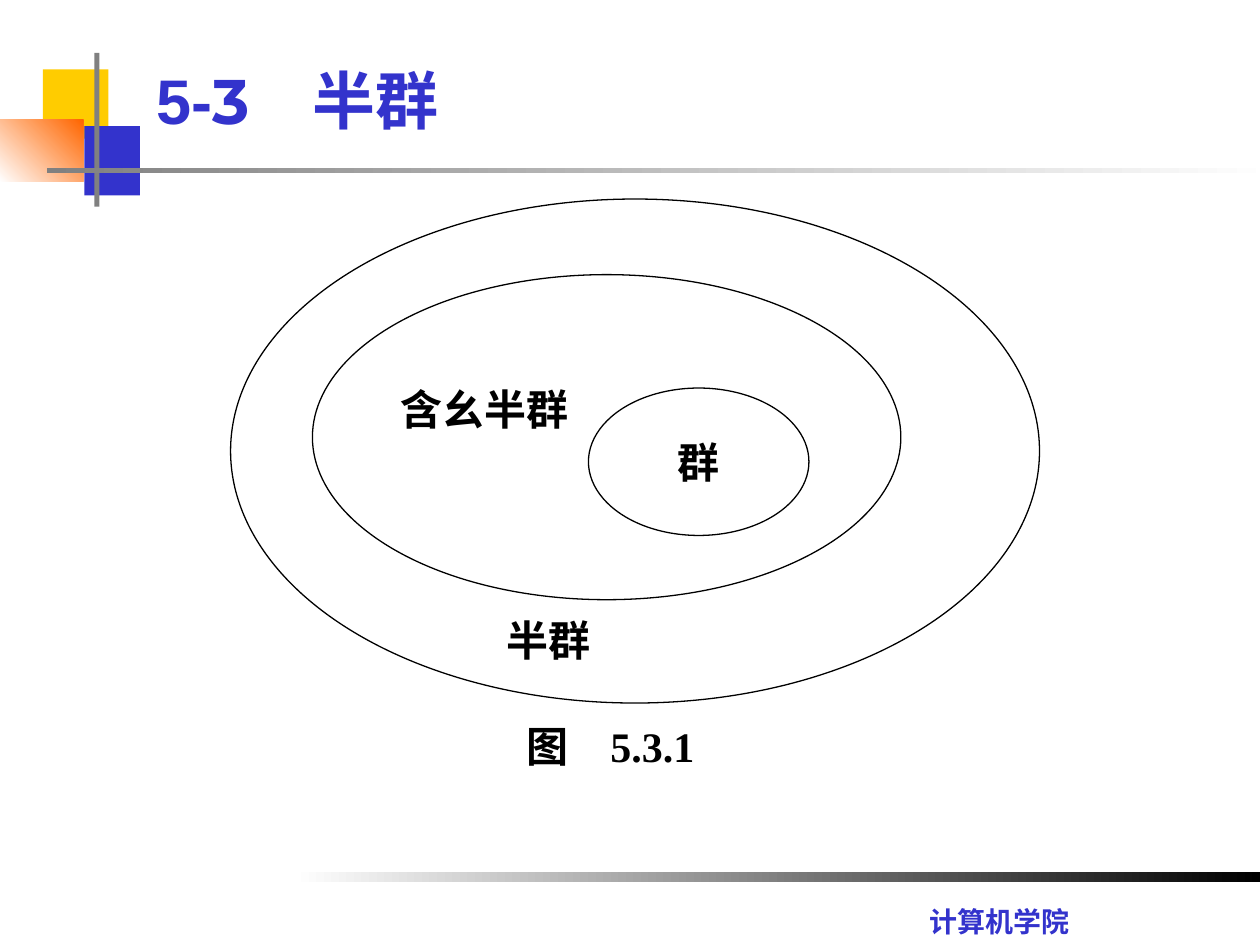
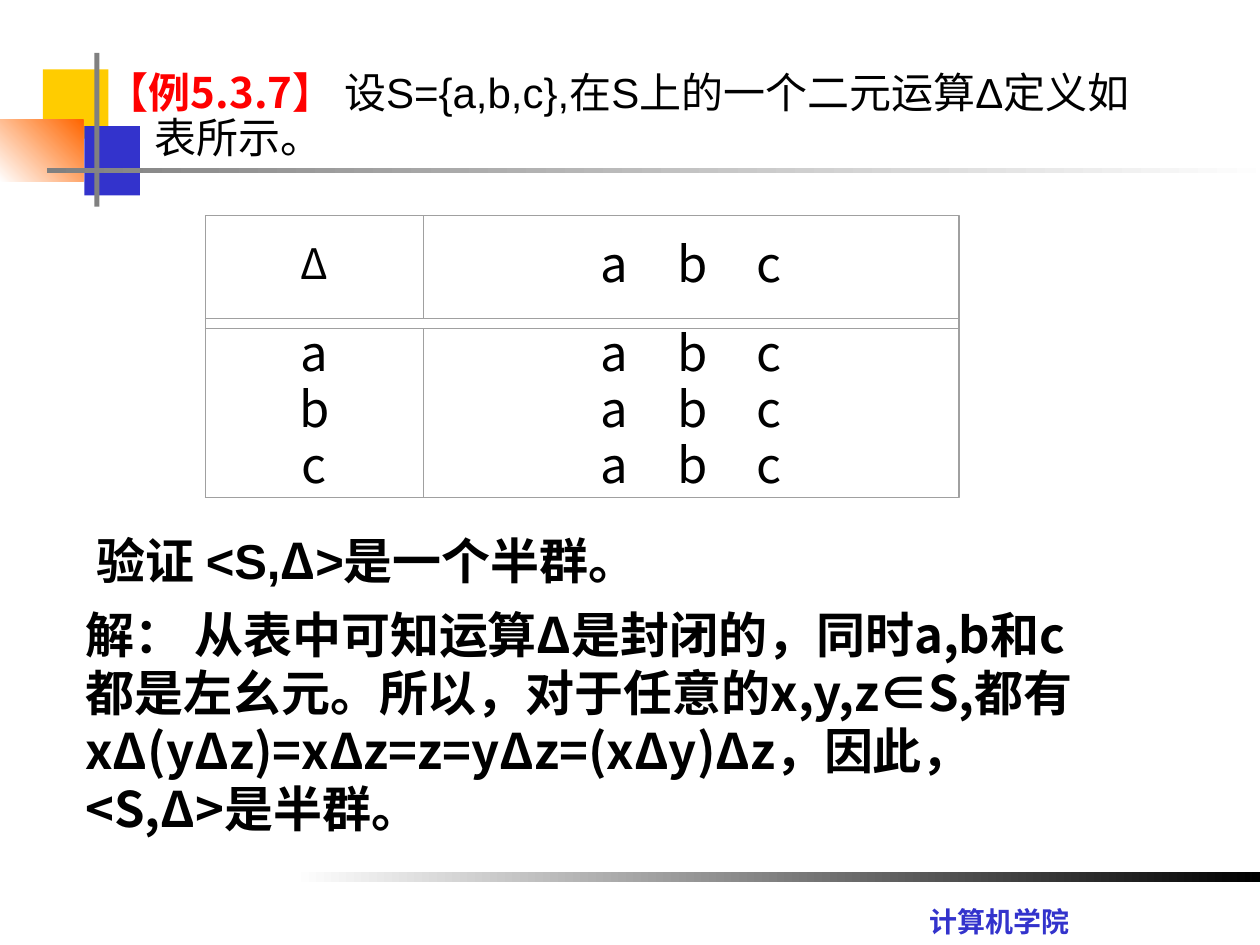
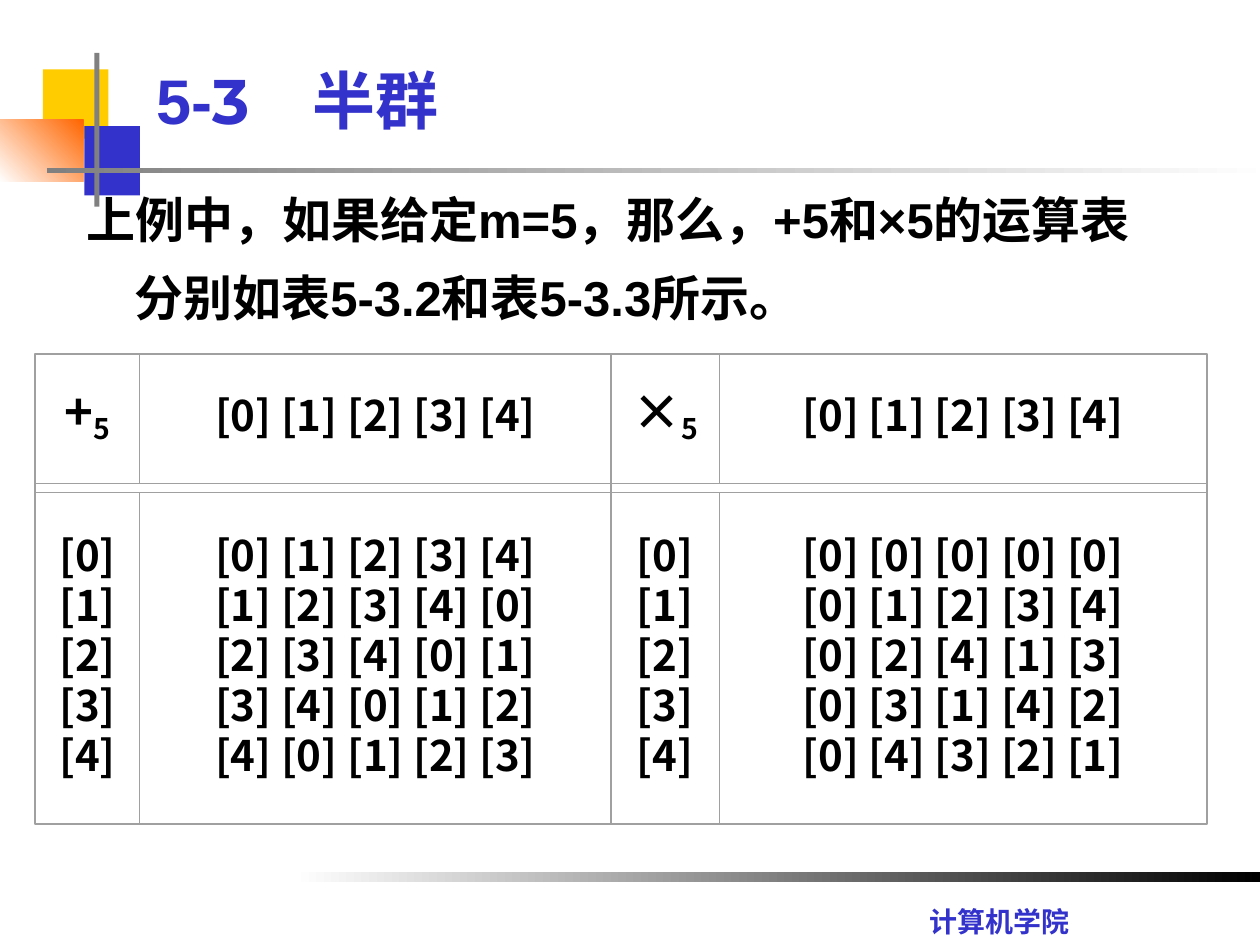
from lxml.etree import SubElement
from pptx import Presentation
from pptx.dml.color import RGBColor
from pptx.enum.shapes import MSO_SHAPE as Shape
from pptx.enum.text import MSO_ANCHOR as Anchor, MSO_AUTO_SIZE as AutoSize, PP_ALIGN as Align
from pptx.oxml.ns import qn
from pptx.util import Inches, Pt

COLORS = {
    "yellow": "FFCC00", "blue": "3333CC", "orange": "FF6600", "gray": "808080",
    "white": "FFFFFF", "black": "000000", "red": "FF0000", "grid": "A0A0A0",
}
SANS, ARIAL, TIMES = "Noto Sans CJK SC", "Arial", "Times New Roman"
LINE_PITCH = 1.19  # line height as a multiple of the font size


def rgb(name):
    return RGBColor.from_string(COLORS[name])


def write(frame, text, *, size=24, font=SANS, color="black", bold=False,
          align=Align.LEFT, spacing=1.0, hanging=0):
    """Write paragraphs; each is a string or a list of (text, format changes)."""
    for index, line in enumerate([text] if isinstance(text, str) else text):
        para = frame.paragraphs[0] if index == 0 else frame.add_paragraph()
        para.alignment = align
        para.line_spacing = Pt(round(size * LINE_PITCH * spacing, 1))
        if hanging:
            props = para._p.get_or_add_pPr()
            props.set("marL", str(Inches(hanging)))
            props.set("indent", str(-Inches(hanging)))
        for words, changes in [(line, {})] if isinstance(line, str) else line:
            span = para.add_run()
            span.text = words
            span.font.size = Pt(size)
            span.font.bold = changes.get("bold", bold)
            span.font.color.rgb = rgb(changes.get("color", color))
            span.font.name = changes.get("font", font)
            props = span._r.get_or_add_rPr()
            SubElement(props, qn("a:ea"), typeface=SANS)
            if changes.get("subscript"):
                props.set("baseline", "-20000")


def set_borders(cell, color="grid", width=0.5):
    props = cell._tc.get_or_add_tcPr()
    for side in ("lnL", "lnR", "lnT", "lnB"):
        line = SubElement(props, qn(f"a:{side}"), w=str(Pt(width)))
        SubElement(SubElement(line, qn("a:solidFill")), qn("a:srgbClr"), val=COLORS[color])


class SlideBuilder:
    """Holds the deck, its style and the slide being built."""

    def __init__(self):
        self.deck = Presentation()
        self.deck.slide_width, self.deck.slide_height = Inches(10), Inches(7.5)
        self.page = None

    def new_page(self):
        self.page = self.deck.slides.add_slide(self.deck.slide_layouts[6])
        self.shape(0.34, 0.55, 0.52, 0.55, fill="yellow")
        self.shape(0.67, 1, 0.44, 0.55, fill="blue")
        self.shape(0, 0.95, 0.66, 0.49, fill=("white", "orange"), angle=45)
        self.shape(0.75, 0.42, 0.04, 1.22, fill="gray")
        self.shape(0.37, 1.33, 9.75, 0.04, fill=("gray", "white"))
        self.shape(2.33, 6.92, 7.67, 0.08, fill=("white", "black"))
        self.text(7.28, 7.13, 1.39, 0.37, "计算机学院", wrap=False,
                  size=16, font="Karla", color="blue", bold=True)

    def title(self):
        self.text(1.14, 0.44, 8.5, 0.7,
                  [[("5-", {}), ("3", {"font": "Montserrat"}), ("　半群", {})]],
                  anchor=Anchor.MIDDLE, size=36, font=ARIAL, color="blue", bold=True)

    def shape(self, left, top, width, height, kind=Shape.RECTANGLE, *,
              fill=None, angle=0, line=None, line_width=0.75):
        """Add a preset shape; a pair of fill colours makes a gradient."""
        box = self.page.shapes.add_shape(
            kind, Inches(left), Inches(top), Inches(width), Inches(height))
        box.shadow.inherit = False
        if fill is None:
            box.fill.background()
        elif isinstance(fill, tuple):
            box.fill.gradient()
            box.fill.gradient_angle = angle
            for stop, color, position in zip(box.fill.gradient_stops, fill, (0, 1)):
                stop.color.rgb = rgb(color)
                stop.position = position
        else:
            box.fill.solid()
            box.fill.fore_color.rgb = rgb(fill)
        if line:
            box.line.color.rgb = rgb(line)
            box.line.width = Pt(line_width)
        else:
            box.line.fill.background()
        return box

    def ellipse(self, left, top, width, height, fill=None):
        return self.shape(left, top, width, height, Shape.OVAL, fill=fill, line="black")

    def text(self, left, top, width, height, text, *, wrap=True, grow=True,
             anchor=Anchor.TOP, **style):
        box = self.page.shapes.add_textbox(
            Inches(left), Inches(top), Inches(width), Inches(height))
        frame = box.text_frame
        frame.word_wrap = wrap
        frame.auto_size = AutoSize.SHAPE_TO_FIT_TEXT if grow else AutoSize.NONE
        frame.vertical_anchor = anchor
        write(frame, text, **style)

    def table_row(self, left, top, height, widths, texts, styles):
        """Add a one-row table."""
        table = self.page.shapes.add_table(
            1, len(widths), Inches(left), Inches(top),
            Inches(sum(widths)), Inches(height)).table
        table.first_row = table.horz_banding = False
        table.rows[0].height = Inches(height)
        for column, width, cell, text, style in zip(
                table.columns, widths, table.rows[0].cells, texts, styles):
            column.width = Inches(width)
            set_borders(cell)
            cell.fill.background()
            cell.margin_left = cell.margin_right = Inches(0.06)
            cell.margin_top = cell.margin_bottom = 0
            cell.vertical_anchor = Anchor.MIDDLE
            write(cell.text_frame, text, align=Align.CENTER, **style)

    def operation_table(self, left, top, widths, heights, operator, elements,
                        results, gap, operator_size, **style):
        """Header and body rows set apart by a gap, inside one frame."""
        head_height, body_height = heights
        separator = "　" if len(elements) == 3 else " "
        join = separator.join
        head_style = {**style, "spacing": 1}
        self.table_row(left, top, head_height, widths, [operator, join(elements)],
                       [{**head_style, "size": operator_size}, head_style])
        self.table_row(left, top + head_height + gap, body_height, widths,
                       [elements, [join(row) for row in results]], [style, style])
        self.shape(left, top, sum(widths), head_height + gap + body_height,
                   line="grid", line_width=0.87)


def venn_page(builder):
    builder.new_page()
    label = {"font": TIMES, "bold": True}
    builder.text(4.08, 5.67, 1.67, 0.5, "图　5.3.1", **label)
    builder.ellipse(2.48, 2.18, 4.67, 2.58, fill="white")
    group = builder.ellipse(4.67, 3.08, 1.75, 1.17, fill="white")
    group.text_frame.word_wrap = False
    group.text_frame.vertical_anchor = Anchor.MIDDLE
    write(group.text_frame, "群", align=Align.CENTER, **label)
    builder.text(3.08, 3, 1.92, 0.5, "含幺半群", **label)
    builder.ellipse(1.83, 1.58, 6.42, 4)
    builder.text(3.92, 4.83, 0.87, 0.5, "半群", wrap=False, **label)
    builder.title()


def example_page(builder):
    builder.new_page()
    builder.text(0.75, 0.52, 8.58, 1, [[
        ("【例5.3.7】 ", {"font": SANS, "color": "red", "bold": True}),
        ("设S={a,b,c},在S上的一个二元运算Δ定义如表所示。", {}),
    ]], grow=False, font=ARIAL, spacing=0.9, hanging=0.38)
    elements = list("abc")
    builder.operation_table(
        1.63, 1.71, (1.73, 4.25), (0.82, 1.34), "Δ", elements,
        [elements for _ in elements], gap=0.08, operator_size=24,
        size=28, spacing=0.96)
    builder.text(0.67, 4.17, 8.5, 0.56, [[
        ("验证 ", {}), ("<S,", {"font": ARIAL}), ("Δ", {}), (">", {"font": ARIAL}),
        ("是一个半群。", {}),
    ]], size=28, bold=True)
    builder.text(
        0.58, 4.75, 8.08, 1.97,
        "解： 从表中可知运算Δ是封闭的，同时a,b和c都是左幺元。所以，对于任意的x,y,z∈S,"
        "都有xΔ(yΔz)=xΔz=z=yΔz=(xΔy)Δz，因此，<S,Δ>是半群。",
        size=28, bold=True)


def modulo_page(builder, modulus=5):
    builder.new_page()
    builder.text(0.59, 1.31, 8.58, 1.42,
                 "上例中，如果给定m=5，那么，+5和×5的运算表分别如表5-3.2和表5-3.3所示。",
                 grow=False, size=28, font=ARIAL, bold=True, spacing=1.33, hanging=0.38)
    numbers = range(modulus)
    operations = [
        ("+", lambda x, y: x + y, 0.28, (0.83, 3.74)),
        ("×", lambda x, y: x * y, 4.85, (0.86, 3.87)),
    ]
    for symbol, operation, left, widths in operations:
        results = [[f"[{operation(x, y) % modulus}]" for y in numbers] for x in numbers]
        builder.operation_table(
            left, 2.81, widths, (1.03, 2.63),
            [[(symbol, {}), (str(modulus), {"subscript": True})]],
            [f"[{number}]" for number in numbers], results, gap=0.07,
            operator_size=28, size=24, bold=True)
    builder.title()


def main():
    builder = SlideBuilder()
    venn_page(builder)
    example_page(builder)
    modulo_page(builder)
    builder.deck.save("out.pptx")


if __name__ == "__main__":
    main()
